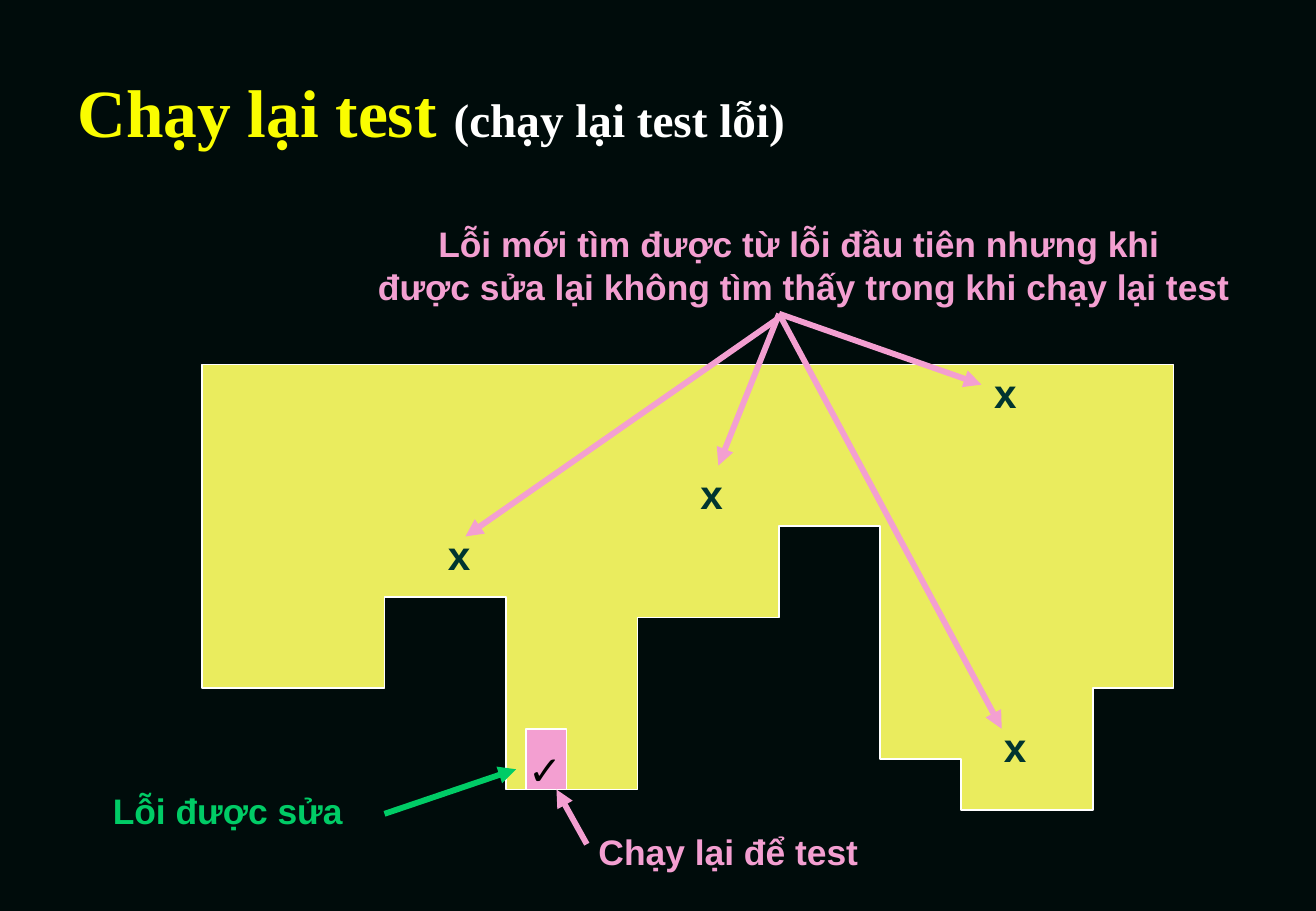
from dataclasses import dataclass

from lxml import etree
from pptx import Presentation
from pptx.dml.color import RGBColor
from pptx.enum.shapes import MSO_CONNECTOR, MSO_SHAPE
from pptx.enum.text import MSO_ANCHOR, MSO_AUTO_SIZE, PP_ALIGN
from pptx.oxml.ns import qn
from pptx.util import Cm, Pt

LEFT, CENTER = PP_ALIGN.LEFT, PP_ALIGN.CENTER
TOP, MIDDLE = MSO_ANCHOR.TOP, MSO_ANCHOR.MIDDLE
NO_FIT = MSO_AUTO_SIZE.NONE
RECT, STRAIGHT = MSO_SHAPE.RECTANGLE, MSO_CONNECTOR.STRAIGHT


@dataclass(frozen=True)
class Theme:
    back: str = "000C0B"
    area: str = "EAEC5E"
    edge: str = "FFFFFF"
    title: str = "FAFD00"
    sub: str = "FFFFFF"
    pink: str = "F39FD1"
    green: str = "00CC66"
    cross: str = "003530"
    check: str = "000000"
    serif: str = "Times New Roman"
    sans: str = "Arial"
    title_size: float = 40
    sub_size: float = 28
    mark_size: float = 24
    note_size: float = 21
    edge_width: float = 1
    arrow_width: float = 3.5


THEME = Theme()
STEP = 2.54 / 12  # drawing grid, in cm

# Grid units
AREA = [(20, 36), (116, 36), (116, 68), (108, 68), (108, 80), (95, 80),
        (95, 75), (87, 75), (87, 52), (77, 52), (77, 61), (63, 61),
        (63, 78), (50, 78), (50, 59), (38, 59), (38, 68), (20, 68)]
RETEST = (52, 72, 4, 6)
ARROWS = [
    ((77, 31.4), (46, 53), THEME.pink),
    ((77, 31), (71, 46), THEME.pink),
    ((77, 31), (99, 72), THEME.pink),
    ((77, 31), (97, 38), THEME.pink),
    ((58, 83.4), (55, 78), THEME.pink),
    ((38, 80.4), (51, 76), THEME.green),
]

# Centimetres
TITLE_BOX = (1.37, 1.47, 23.39, 1.7)
TITLE = [
    ("Chạy lại test ", THEME.title_size, THEME.title),
    ("(chạy lại test lỗi)", THEME.sub_size, THEME.sub),
]
NOTES = [
    ((7.7, 4.65, 18.03, 1.78), CENTER, THEME.pink,
     ["Lỗi mới tìm được từ lỗi đầu tiên nhưng khi",
      " được sửa lại không tìm thấy trong khi chạy lại test"]),
    ((12.52, 17.35, 5.44, 0.89), LEFT, THEME.pink, ["Chạy lại để test"]),
    ((2.36, 16.51, 4.8, 0.89), LEFT, THEME.green, ["Lỗi được sửa"]),
]
MARK_SIZE = (0.97, 1.27)
MARKS = [
    ("x", (14.4, 9.68), THEME.cross),
    ("x", (20.55, 7.57), THEME.cross),
    ("x", (9.12, 10.95), THEME.cross),
    ("x", (20.75, 14.96), THEME.cross),
    ("✓", (10.8, 15.44), THEME.check),
]


def grid(*vals):
    """Turn grid units into lengths."""
    return [Cm(val * STEP) for val in vals]


def paint(shape, color):
    shape.shadow.inherit = False
    shape.fill.solid()
    shape.fill.fore_color.rgb = RGBColor.from_string(color)
    shape.line.color.rgb = RGBColor.from_string(THEME.edge)
    shape.line.width = Pt(THEME.edge_width)


def add_text(slide, box, lines, font, align=LEFT, inset=(0, 0),
             anchor=TOP, wrap=False):
    """Add a text box; each line is a list of (text, size, color) runs."""
    frame = slide.shapes.add_textbox(*map(Cm, box)).text_frame
    frame.word_wrap = wrap
    frame.auto_size = NO_FIT
    frame.vertical_anchor = anchor
    frame.margin_left = frame.margin_right = Cm(inset[0])
    frame.margin_top = frame.margin_bottom = Cm(inset[1])
    for num, line in enumerate(lines):
        para = frame.add_paragraph() if num else frame.paragraphs[0]
        para.alignment = align
        for text, size, color in line:
            run = para.add_run()
            run.text = text
            run.font.name = font
            run.font.size = Pt(size)
            run.font.bold = True
            run.font.color.rgb = RGBColor.from_string(color)


def add_arrow(slide, start, end, color):
    arrow = slide.shapes.add_connector(STRAIGHT, *grid(*start, *end))
    arrow.line.color.rgb = RGBColor.from_string(color)
    arrow.line.width = Pt(THEME.arrow_width)
    etree.SubElement(arrow.line._get_or_add_ln(), qn("a:tailEnd"),
                     type="triangle")
    etree.SubElement(arrow._element.spPr, qn("a:effectLst"))


def main():
    deck = Presentation()
    deck.slide_width, deck.slide_height = Cm(27.53), Cm(19.05)
    slide = deck.slides.add_slide(deck.slide_layouts[6])
    slide.background.fill.solid()
    slide.background.fill.fore_color.rgb = RGBColor.from_string(THEME.back)

    outline = slide.shapes.build_freeform(*AREA[0], scale=Cm(STEP))
    outline.add_line_segments(AREA[1:], close=True)
    paint(outline.convert_to_shape(), THEME.area)

    pad = (0.25, 0.13)
    add_text(slide, TITLE_BOX, [TITLE], THEME.serif, inset=pad,
             anchor=MIDDLE, wrap=True)
    for box, align, color, lines in NOTES:
        rows = [[(line, THEME.note_size, color)] for line in lines]
        add_text(slide, box, rows, THEME.sans, align)

    paint(slide.shapes.add_shape(RECT, *grid(*RETEST)), THEME.pink)
    for start, end, color in ARROWS:
        add_arrow(slide, start, end, color)
    for mark, spot, color in MARKS:
        add_text(slide, spot + MARK_SIZE, [[(mark, THEME.mark_size, color)]],
                 THEME.sans, inset=pad)

    deck.save("out.pptx")


if __name__ == "__main__":
    main()
